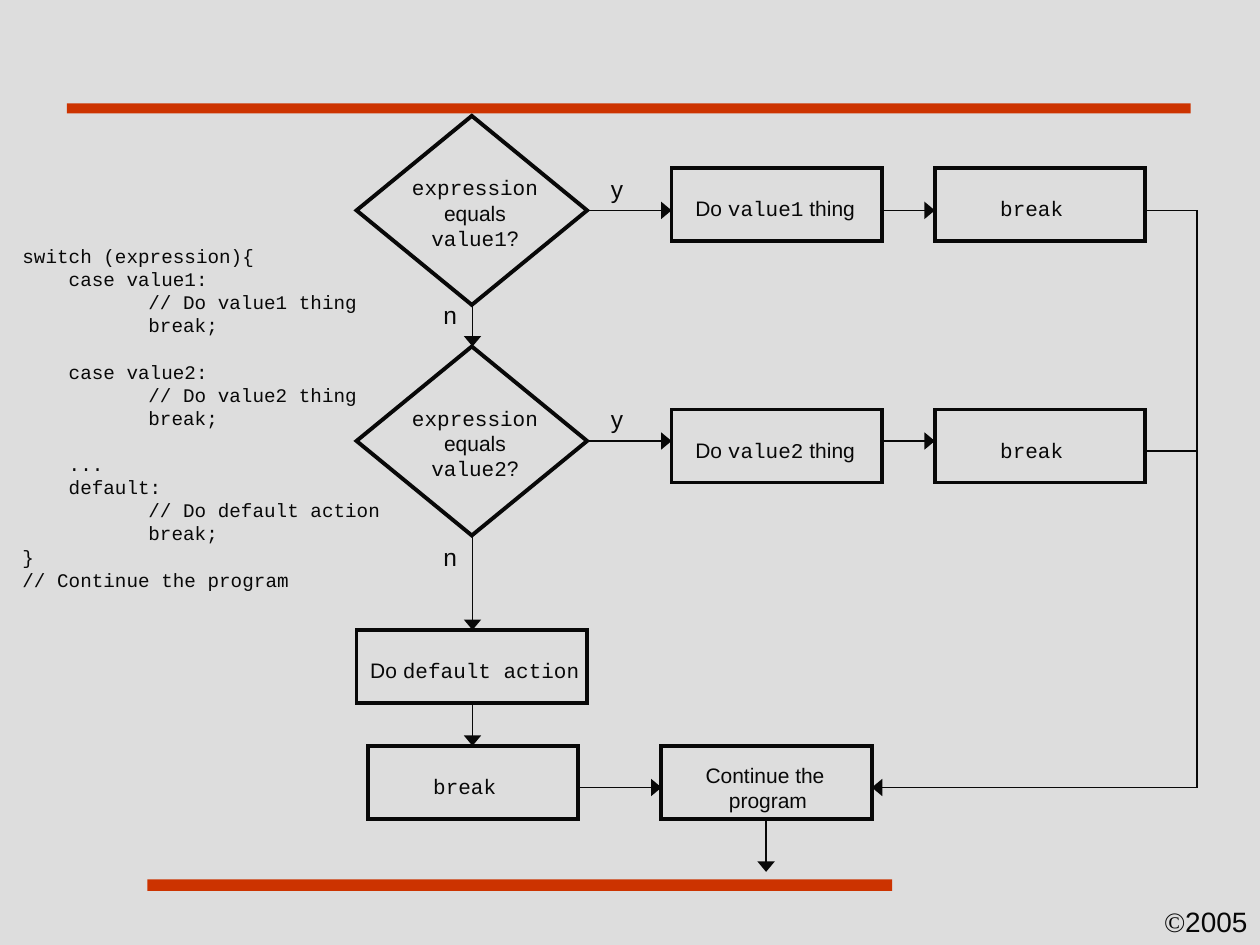
from lxml import etree
from pptx import Presentation
from pptx.dml.color import RGBColor
from pptx.enum.shapes import MSO_CONNECTOR, MSO_SHAPE
from pptx.enum.text import MSO_AUTO_SIZE, PP_ALIGN
from pptx.oxml.ns import qn
from pptx.util import Inches, Pt

RECTANGLE = MSO_SHAPE.RECTANGLE
DIAMOND = MSO_SHAPE.DIAMOND
STRAIGHT = MSO_CONNECTOR.STRAIGHT
FIT_SHAPE = MSO_AUTO_SIZE.SHAPE_TO_FIT_TEXT
LEFT, CENTER = PP_ALIGN.LEFT, PP_ALIGN.CENTER

COLORS = {"background": "DDDDDD", "ink": "080808", "bar": "CC3300"}
SANS, MONO, SERIF = "Arial", "Courier New", "Times New Roman"

ROW_TOPS = (0.92, 2.75)
PROCESS_TOPS = (1.33, 3.25)
FLOW_YS = (1.67, 3.5)
RETURN_YS = (1.67, 3.58)
RETURN_X = 9.5
MAIN_X = 3.75
BOX_W, BOX_H = 1.67, 0.58
DIAMOND_W, DIAMOND_H = 1.83, 1.5

CODE = """switch (expression){
    case value1:
\t// Do value1 thing
\tbreak;

    case value2:
\t// Do value2 thing
\tbreak;

    ...
    default:
\t// Do default action
\tbreak;
}
// Continue the program"""


def rgb(name):
    return RGBColor.from_string(COLORS[name])


def write_paragraph(paragraph, runs, size, align=LEFT):
    paragraph.alignment = align
    paragraph.line_spacing = Pt(size * 1.2)
    for words, font_name in runs:
        run = paragraph.add_run()
        run.text = words
        run.font.name = font_name
        run.font.size = Pt(size)
        run.font.color.rgb = rgb("ink")


def add_text(slide, box, paragraphs, size, wrap=False, align=LEFT):
    frame = slide.shapes.add_textbox(*map(Inches, box)).text_frame
    frame.word_wrap = wrap
    frame.auto_size = FIT_SHAPE
    for index, runs in enumerate(paragraphs):
        paragraph = frame.add_paragraph() if index else frame.paragraphs[0]
        write_paragraph(paragraph, runs, size, align)


def add_outline(slide, kind, box):
    outline = slide.shapes.add_shape(kind, *map(Inches, box))
    outline.shadow.inherit = False
    outline.fill.background()
    outline.line.color.rgb = rgb("ink")
    outline.line.width = Pt(2.25)
    etree.SubElement(outline.line._get_or_add_ln(), qn("a:miter"), lim="800000")


def add_bar(slide, box):
    bar = slide.shapes.add_shape(RECTANGLE, *map(Inches, box))
    bar.shadow.inherit = False
    bar.fill.solid()
    bar.fill.fore_color.rgb = rgb("bar")
    bar.line.fill.background()


def add_line(slide, start, end, arrow=True):
    line = slide.shapes.add_connector(STRAIGHT, *map(Inches, start + end))
    line.line.color.rgb = rgb("ink")
    line.line.width = Pt(1)
    if arrow:
        etree.SubElement(line.line._get_or_add_ln(), qn("a:tailEnd"), type="triangle", w="lg")
    etree.SubElement(line._element.spPr, qn("a:effectLst"))


def add_step(slide, box, label_box, paragraphs, kind=RECTANGLE, align=LEFT):
    add_outline(slide, kind, box)
    dx, dy, width, height = label_box
    add_text(slide, (box[0] + dx, box[1] + dy, width, height), paragraphs, 12, align=align)


def add_break(slide, left, top):
    add_step(slide, (left, top, BOX_W, BOX_H), (0.42, 0.17, 0.7, 0.3), [[("break", MONO)]])


def add_decision(slide, box, value):
    question = [[("expression", MONO)], [("equals", SANS)], [(value, MONO), ("?", SANS)]]
    add_step(slide, box, (0.34, 0.42, 1.2, 0.7), question, DIAMOND, CENTER)


def add_case_row(slide, value, row_top, process_top, flow_y, return_y):
    add_decision(slide, (2.83, row_top, DIAMOND_W, DIAMOND_H), value)
    action = [[("Do ", SANS), (value, MONO), (" thing", SANS)]]
    add_step(slide, (5.33, process_top, BOX_W, BOX_H), (0.09, 0.17, 1.5, 0.3), action)
    add_break(slide, 7.42, process_top)
    add_line(slide, (4.67, flow_y), (5.33, flow_y))
    add_line(slide, (7, flow_y), (7.42, flow_y))
    add_line(slide, (RETURN_X, return_y), (9.08, return_y), arrow=False)
    add_text(slide, (4.75, flow_y - 0.34, 0.58, 0.34), [[("y", SANS)]], 14, wrap=True)


def add_ending(slide, top):
    default = [[("Do ", SANS), ("default action", MONO)]]
    add_step(slide, (2.83, top, DIAMOND_W, BOX_H), (0.01, 0.17, 1.86, 0.3), default)
    finish_top = top + 0.92
    add_break(slide, 2.92, finish_top)
    finish = [[("Continue the ", SANS)], [("program", SANS)]]
    add_step(slide, (5.25, finish_top, BOX_W, BOX_H), (0.25, 0.08, 1.19, 0.5),
             finish, align=CENTER)
    finish_y = finish_top + 0.33
    add_line(slide, (4.58, finish_y), (5.25, finish_y))
    add_line(slide, (6.08, finish_top + BOX_H), (6.08, 6.92))
    add_line(slide, (RETURN_X, RETURN_YS[0]), (RETURN_X, finish_y), arrow=False)
    add_line(slide, (RETURN_X, finish_y), (6.92, finish_y))


def add_main_path(slide):
    for start, end in ((2.42, 2.75), (4.25, 5), (5.58, 5.92)):
        add_line(slide, (MAIN_X, start), (MAIN_X, end))
    for top in (2.33, 4.25):
        add_text(slide, (3.42, top, 0.42, 0.34), [[("n", SANS)]], 14, wrap=True)


def add_code(slide, box):
    frame = slide.shapes.add_textbox(*map(Inches, box)).text_frame
    frame.word_wrap = True
    frame.auto_size = FIT_SHAPE
    size = 11
    for block_index, block in enumerate(CODE.split("\n\n")):
        for line_index, line in enumerate(block.split("\n")):
            first = block_index == line_index == 0
            paragraph = frame.paragraphs[0] if first else frame.add_paragraph()
            write_paragraph(paragraph, [(line, MONO)], size)
            if block_index and line_index == 0:
                paragraph.space_before = Pt(size * 1.2)
            stops = etree.SubElement(paragraph._p.get_or_add_pPr(), qn("a:tabLst"))
            etree.SubElement(stops, qn("a:tab"), pos=str(Inches(1)), algn="l")


def add_frame(slide):
    add_text(slide, (9.14, 7.13, 0.86, 0.37), [[("©", SERIF), ("2005", SANS)]], 16)
    add_bar(slide, (1.17, 6.98, 5.91, 0.09))
    add_bar(slide, (0.53, 0.82, 8.92, 0.08))


def main():
    deck = Presentation()
    deck.slide_width, deck.slide_height = Inches(10), Inches(7.5)
    slide = deck.slides.add_slide(deck.slide_layouts[6])
    slide.background.fill.solid()
    slide.background.fill.fore_color.rgb = rgb("background")
    add_frame(slide)
    rows = zip(("value1", "value2"), ROW_TOPS, PROCESS_TOPS, FLOW_YS, RETURN_YS)
    for row in rows:
        add_case_row(slide, *row)
    add_ending(slide, 5)
    add_main_path(slide)
    add_code(slide, (0.08, 1.89, 4.83, 2.85))
    deck.save("out.pptx")


if __name__ == "__main__":
    main()
